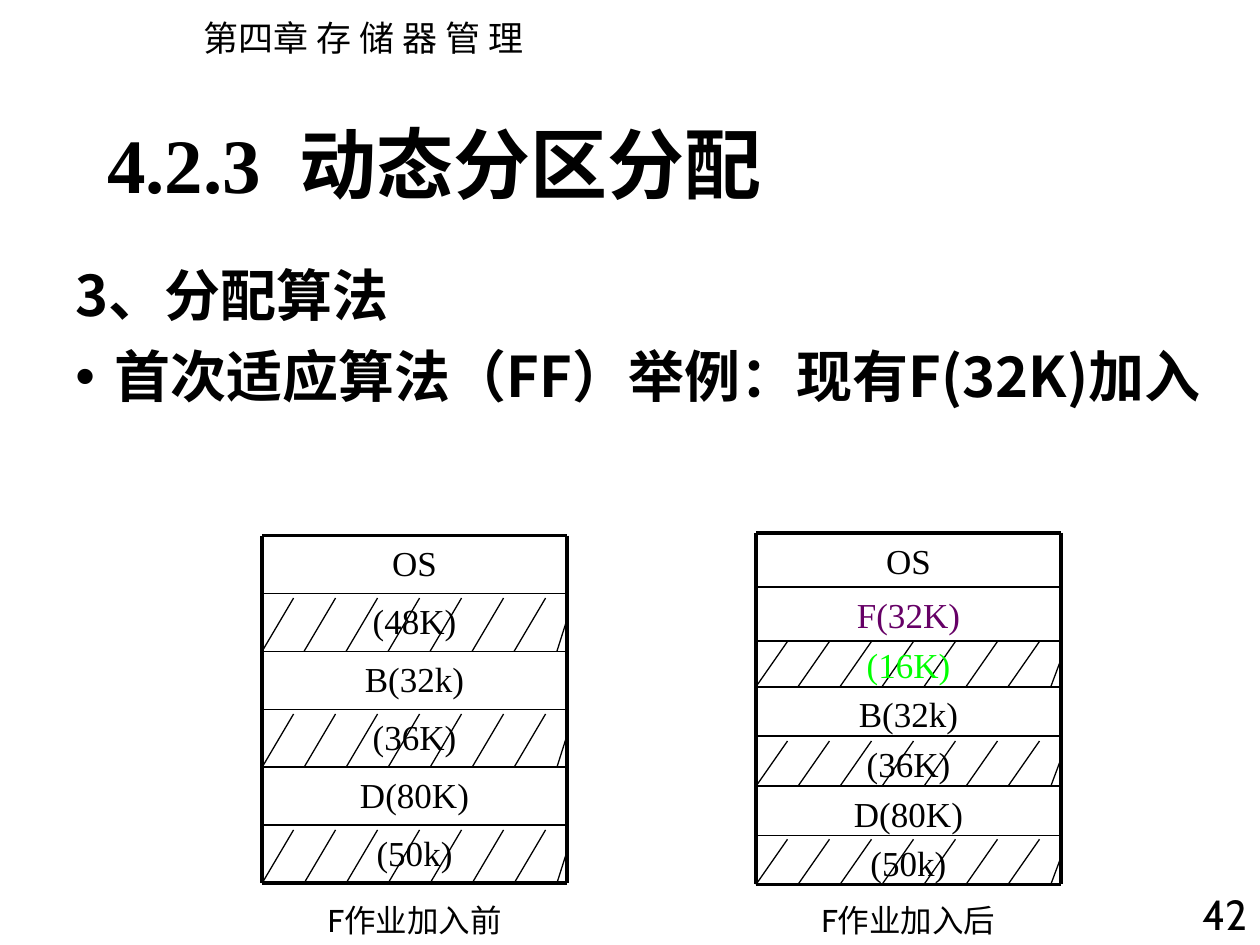
from pptx import Presentation
from pptx.dml.color import RGBColor as Rgb
from pptx.enum.text import MSO_ANCHOR as Anchor, PP_ALIGN as Align
from pptx.oxml.ns import qn
from pptx.util import Inches, Pt
from lxml.etree import SubElement as Sub

HAN = "Noto Sans CJK SC"
ROMAN = "Times New Roman"


def color(code):
    return Rgb.from_string(code)


class Deck:
    ink = "000000"
    thick, thin, fine = 2.25, 1, 0.75

    def __init__(self):
        self.prs = Presentation()
        self.prs.slide_width = Inches(10)
        self.prs.slide_height = Inches(7.5)
        self.slide = self.prs.slides.add_slide(self.prs.slide_layouts[5])
        self.root = self.slide.shapes

    def fill(self, para, text, size, face=HAN, ink=ink, bold=False,
             align=Align.LEFT, before=0):
        para.alignment = align
        para.space_before = Pt(before)
        run = para.add_run()
        run.text = text
        style = {"size": Pt(size), "name": face, "bold": bold}
        for key, value in style.items():
            setattr(run.font, key, value)
        run.font.color.rgb = color(ink)
        Sub(run.font._element, qn("a:ea")).set("typeface", HAN)

    def title(self, text, box):
        shape = self.root.title
        for key, value in zip(("left", "top", "width", "height"), box):
            setattr(shape, key, Inches(value))
        shape.text_frame.vertical_anchor = Anchor.MIDDLE
        self.fill(shape.text_frame.paragraphs[0], text, 44, ROMAN, bold=True)

    def text(self, text, box, size, home=None, wrap=True, **style):
        shape = (home or self.root).add_textbox(*map(Inches, box))
        frame = shape.text_frame
        frame.word_wrap = wrap
        self.fill(frame.paragraphs[0], text, size, **style)
        return frame

    def list(self, items, box):
        frame = self.text(items[0], box, 32, bold=True, before=8)
        for item in items[1:]:
            para = frame.add_paragraph()
            self.fill(para, item, 32, bold=True, before=8)
            props = para._p.get_or_add_pPr()
            Sub(Sub(props, qn("a:buClr")), qn("a:srgbClr")).set("val", self.ink)
            Sub(props, qn("a:buFont")).set("typeface", "Arial")
            Sub(props, qn("a:buChar")).set("char", "•")
        for para in frame.paragraphs:
            props = para._p.get_or_add_pPr()
            props.set("marL", str(Inches(0.31)))
            props.set("indent", str(-Inches(0.31)))

    def line(self, home, start, end, width):
        line = home.add_connector(1, *map(Inches, (*start, *end)))
        line.line.color.rgb = color(self.ink)
        line.line.width = Pt(width)
        Sub(line._element.spPr, qn("a:effectLst"))

    def hatch(self, home, left, right, low, high):
        for i in range(7):
            x = left + i / 3
            self.line(home, (x + 0.25, low - 0.92 * high), (x, low), self.fine)
        self.line(home, (right, low - 0.55 * high), (right - 0.08, low), self.fine)

    def stack(self, left, edges, high, rows, note, pad=0):
        home = self.root.add_group_shape().shapes
        wide = 2.42
        right = left + wide
        for top, low, (label, free, ink) in zip(edges, edges[1:], rows):
            box = (left, min(top, low - high), wide, high)
            self.text(label, box, 20, home, face=ROMAN, ink=ink,
                      align=Align.CENTER, before=5)
            if free:
                self.hatch(home, left, right, low, high)
        for y in edges:
            width = self.thick if y in (edges[0], edges[-1]) else self.thin
            self.line(home, (left, y), (right, y), width)
        for x in (left, right):
            self.line(home, (x, edges[0]), (x, edges[-1]), self.thick)
        self.text(note, (left - pad, 7.1, wide + 2 * pad, 0.4), 18, home,
                  face="Cabin", align=Align.CENTER, before=11.2)


def main():
    deck = Deck()
    ink = deck.ink
    deck.title("4.2.3  动态分区分配", (0.75, 0.67, 8.5, 1.25))
    deck.text("第四章 存 储 器 管 理", (1.52, 0.08, 2.8, 0.44), 20, wrap=False)
    deck.text("42", (9.33, 7, 0.67, 0.56), 24, face="Cabin",
              align=Align.RIGHT, before=15)
    deck.list(["3、分配算法", "首次适应算法（FF）举例：现有F(32K)加入"],
              (0.5, 2.02, 9.5, 2.58))

    first = [("OS", False, ink)]
    rest = [("B(32k)", False, ink), ("(36K)", True, ink),
            ("D(80K)", False, ink), ("(50k)", True, ink)]
    old = [("(48K)", True, ink)]
    new = [("F(32K)", False, "660066"), ("(16K)", True, "00FF00")]
    deck.stack(2.08, [4.25 + 0.46 * i for i in range(7)], 0.46,
               first + old + rest, "F作业加入前")
    deck.stack(6, [4.23, 4.66, 5.09, 5.45, 5.84, 6.24, 6.63, 7.02], 0.39,
               first + new + rest, "F作业加入后", 0.33)
    deck.prs.save("out.pptx")


if __name__ == "__main__":
    main()
